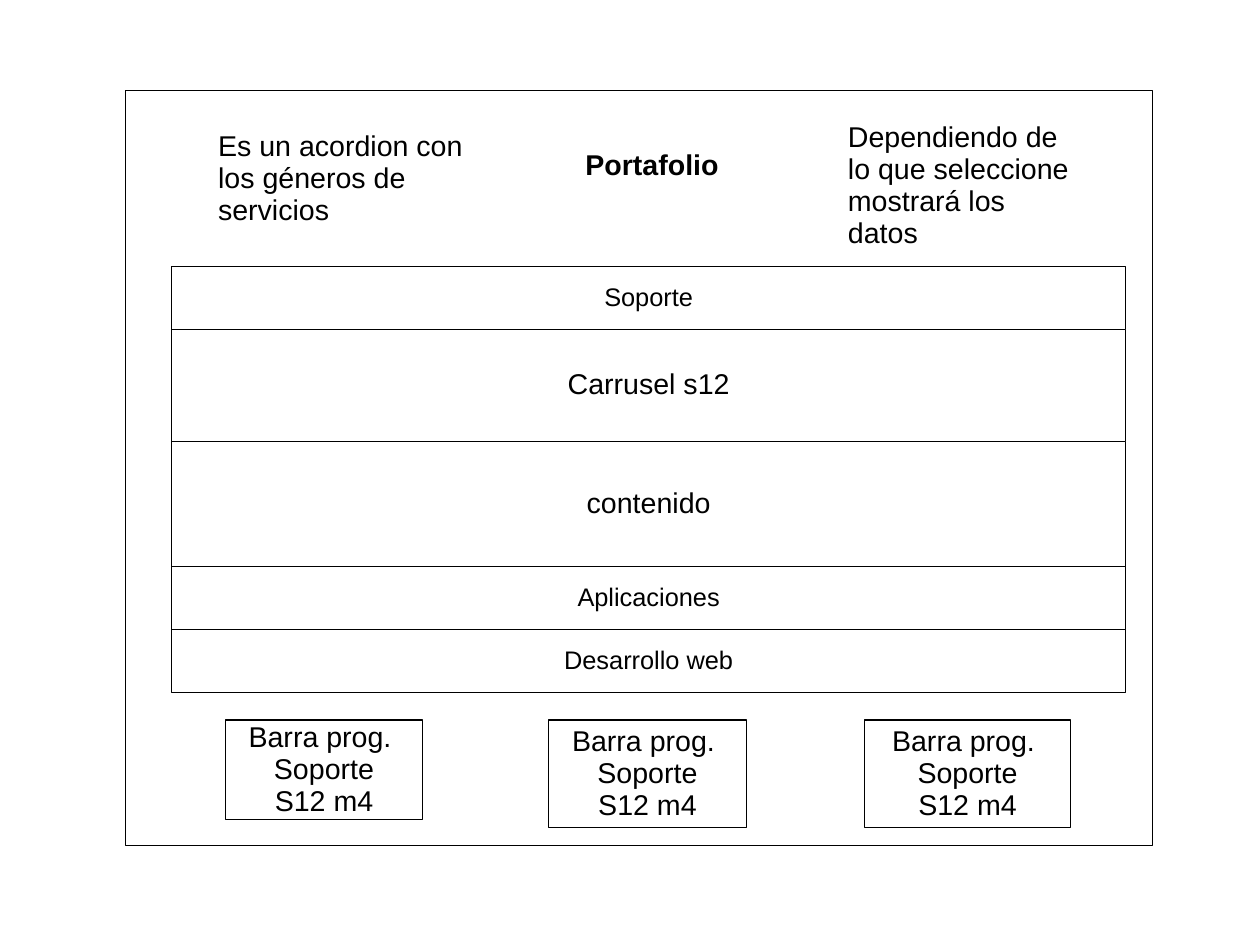
from pptx import Presentation
from pptx import util as u
from pptx.dml.color import RGBColor
from pptx.enum import shapes, text

COLORS = {"paper": "FFFFFF", "ink": "000000"}
FONT = "Arial"
LINE_SPACING = 0.93
LEFT, CENTER = text.PP_ALIGN.LEFT, text.PP_ALIGN.CENTER

PAGE_WIDTH_CM, PAGE_HEIGHT_CM = 28, 21
FRAME = (1.1, 0.79, 8.98, 6.61)

# wording, (left, top, width, height), alignment, bold
HEADINGS = [
    ("Portafolio", (3.54, 1.26, 4.33, 0.4), CENTER, True),
    ("Es un acordion con los géneros de servicios", (1.81, 1.1, 2.36, 0.96), LEFT, False),
    ("Dependiendo de lo que seleccione mostrará los datos", (7.32, 1.02, 2.21, 0.96), LEFT, False),
]

# wording, height, text size
ACCORDION_LEFT, ACCORDION_TOP, ACCORDION_WIDTH = 1.5, 2.33, 8.35
ACCORDION = [
    ("Soporte", 0.55, 16),
    ("Carrusel s12", 0.98, 18),
    ("contenido", 1.1, 18),
    ("Aplicaciones", 0.55, 16),
    ("Desarrollo web", 0.55, 16),
]

# left, width, height
BAR_LINES = ["Barra prog. ", "Soporte", "S12 m4"]
BAR_TOP = 6.3
BARS = [(1.97, 1.73, 0.87), (4.8, 1.73, 0.94), (7.56, 1.81, 0.94)]


def color(name):
    return RGBColor.from_string(COLORS[name])


def write(box, lines, size=18, align=CENTER, bold=False):
    frame = box.text_frame
    for index, line in enumerate(lines):
        para = frame.add_paragraph() if index else frame.paragraphs[0]
        para.alignment = align
        para.line_spacing = LINE_SPACING
        span = para.add_run()
        span.text = line
        span.font.name = FONT
        span.font.size = u.Pt(size)
        span.font.bold = bold
        span.font.color.rgb = color("ink")


def add_panel(page, place, lines=(), size=18):
    box = page.shapes.add_shape(shapes.MSO_SHAPE.RECTANGLE, *map(u.Inches, place))
    box.shadow.inherit = False
    box.fill.solid()
    box.fill.fore_color.rgb = color("paper")
    box.line.color.rgb = color("ink")
    box.line.width = u.Pt(0.75)
    box.text_frame.word_wrap = False
    box.text_frame.vertical_anchor = text.MSO_ANCHOR.MIDDLE
    write(box, lines, size)


def add_heading(page, wording, place, align, bold):
    box = page.shapes.add_textbox(*map(u.Inches, place))
    box.text_frame.word_wrap = True
    write(box, [wording], align=align, bold=bold)


def main():
    deck = Presentation()
    deck.slide_width, deck.slide_height = u.Cm(PAGE_WIDTH_CM), u.Cm(PAGE_HEIGHT_CM)
    page = deck.slides.add_slide(deck.slide_layouts[6])

    add_panel(page, FRAME)
    for heading in HEADINGS:
        add_heading(page, *heading)

    top = ACCORDION_TOP
    for wording, height, size in ACCORDION:
        add_panel(page, (ACCORDION_LEFT, top, ACCORDION_WIDTH, height), [wording], size)
        top += height

    for left, width, height in BARS:
        add_panel(page, (left, BAR_TOP, width, height), BAR_LINES)

    deck.save("out.pptx")


if __name__ == "__main__":
    main()
